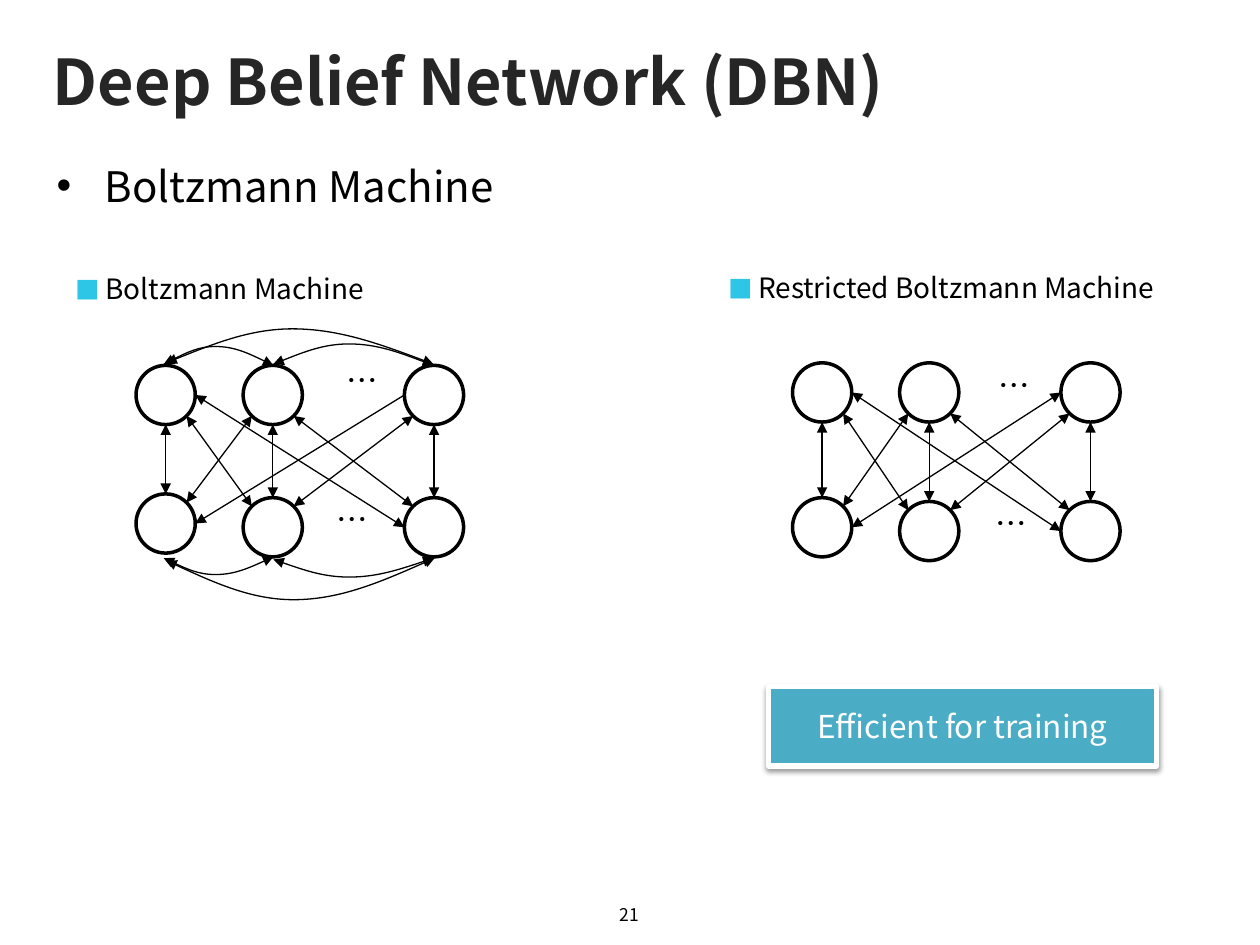
from dataclasses import dataclass
from math import cos, pi, sin

from lxml import etree
from pptx import Presentation
from pptx.dml.color import RGBColor
from pptx.enum.shapes import MSO_CONNECTOR, MSO_SHAPE
from pptx.enum.text import MSO_ANCHOR, PP_ALIGN
from pptx.oxml import parse_xml
from pptx.oxml.ns import nsdecls, qn
from pptx.util import Inches, Pt

LINE = MSO_CONNECTOR.STRAIGHT
OVAL, RECT = MSO_SHAPE.OVAL, MSO_SHAPE.RECTANGLE
LEFT, CENTER = PP_ALIGN.LEFT, PP_ALIGN.CENTER
TOP, MIDDLE = MSO_ANCHOR.TOP, MSO_ANCHOR.MIDDLE
FONT = "Noto Sans CJK KR"
COLORS = {"ink": "000000", "title": "262626", "paper": "FFFFFF",
          "marker": "2DC6E6", "note": "4BACC6"}

COLS, ROWS = 100, 75
CELL = Inches(0.1)
NODE = 4.7
NODE_COLS = (0, 8.5, 21.3)


@dataclass
class Box:
    col: float
    row: float
    cols: float
    rows: float

    def emu(self) -> list[int]:
        return [grid(v) for v in (self.col, self.row, self.cols, self.rows)]


@dataclass
class Arc:
    start: tuple[float, float]
    apex: tuple[float, float]
    end: tuple[float, float]


@dataclass
class Network:
    name: str
    label: Box
    col: float
    upper: float
    lower: tuple[float, float, float]
    dots: tuple[Box, Box]
    one_way: tuple[tuple[int, int], ...] = ()
    arcs: tuple[Arc, ...] = ()


NETWORKS = (
    Network("Boltzmann Machine", Box(5, 21.1, 24.9, 3.7), 10.8, 29,
            (39.2, 39.5, 39.5),
            (Box(26.5, 28.2, 4.8, 4), Box(25.7, 39.2, 4.8, 4)),
            one_way=((2, 0),),
            arcs=(Arc((13, 28.9), (17.1, 27.5), (21.7, 29)),
                  Arc((21.7, 28.9), (27.7, 27.3), (34.4, 29)),
                  Arc((21.7, 44.4), (27.7, 45.8), (34.4, 44.3)),
                  Arc((13, 44.3), (17.1, 45.6), (21.7, 44.2)),
                  Arc((13.2, 28.8), (23.2, 26.1), (34.4, 28.9)),
                  Arc((13.2, 44.5), (23.3, 47.6), (34.5, 44.3)))),
    Network("Restricted Boltzmann Machine", Box(56.8, 21, 36.9, 3.7), 62.9, 28.8,
            (39.5, 39.8, 39.8),
            (Box(78.3, 28.6, 4.8, 4), Box(78, 39.5, 4.8, 4))),
)


def grid(cells: float) -> int:
    return round(cells * CELL)


def rgb(name: str) -> RGBColor:
    return RGBColor.from_string(COLORS[name])


def add_text(p, text: str, size: float, color="ink", bold=False, align=LEFT):
    p.alignment = align
    r = p.add_run()
    r.text = text
    f = r.font
    f.name, f.size, f.bold = FONT, Pt(size), bold
    f.color.rgb = rgb(color)
    etree.SubElement(r.font._element, qn("a:ea"), typeface=FONT)


def add_label(s, box: Box, wrap=False, anchor=TOP):
    tf = s.shapes.add_textbox(*box.emu()).text_frame
    tf.word_wrap, tf.vertical_anchor = wrap, anchor
    return tf.paragraphs[0]


def fill_placeholder(sp, box: Box, anchor):
    sp.left, sp.top, sp.width, sp.height = box.emu()
    sp.text_frame.vertical_anchor = anchor
    return sp.text_frame.paragraphs[0]


def style_shape(sp, fill: str, line: str, width: float) -> None:
    sp.shadow.inherit = False
    sp.fill.solid()
    sp.fill.fore_color.rgb = rgb(fill)
    sp.line.color.rgb = rgb(line)
    sp.line.width = Pt(width)


def style_arrow(sp, ends=("headEnd", "tailEnd")) -> None:
    sp.line.color.rgb = rgb("ink")
    sp.line.width = Pt(0.75)
    ln = sp._element.spPr.find(qn("a:ln"))
    for end in ends:
        etree.SubElement(ln, qn(f"a:{end}"), type="triangle")


def add_link(s, start: tuple, end: tuple, one_way: bool) -> None:
    c = s.shapes.add_connector(LINE, *map(grid, start + end))
    style_arrow(c, ("tailEnd",) if one_way else ("headEnd", "tailEnd"))
    etree.SubElement(c._element.spPr, qn("a:effectLst"))


def add_arc(s, arc: Arc) -> None:
    (x0, y0), (xm, ym), (x1, y1) = arc.start, arc.apex, arc.end
    pts = [(x0 + (xm - x0) / 3, (y0 + ym) / 2), (x0 + (xm - x0) * 2 / 3, ym),
           (xm, ym), (xm + (x1 - xm) / 3, ym),
           (xm + (x1 - xm) * 2 / 3, (ym + y1) / 2), (x1, y1)]
    fb = s.shapes.build_freeform(grid(x0), grid(y0))
    fb.add_line_segments([(grid(x), grid(y)) for x, y in pts], close=False)
    sp = fb.convert_to_shape()
    sp.shadow.inherit = False
    sp.fill.background()
    style_arrow(sp)
    lines = list(sp._element.iter(qn("a:lnTo")))
    for i in range(0, len(lines), 3):
        curve = etree.SubElement(lines[i].getparent(), qn("a:cubicBezTo"))
        for line in lines[i:i + 3]:
            curve.append(line[0])
            line.getparent().remove(line)


def add_network(s, net: Network) -> None:
    p = add_label(s, net.label)
    add_text(p, "■ ", 14, "marker")
    add_text(p, net.name, 16)
    for tops in ((net.upper,) * 3, net.lower):
        for col, row in zip(NODE_COLS, tops):
            sp = s.shapes.add_shape(OVAL, *Box(net.col + col, row, NODE, NODE).emu())
            style_shape(sp, "paper", "ink", 2)
    radius = NODE / 2
    for i, a in enumerate(NODE_COLS):
        for j, b in enumerate(NODE_COLS):
            angle = (j - i) * pi / 4
            dx, dy = radius * sin(angle), radius * cos(angle)
            start = (net.col + a + radius + dx, net.upper + radius + dy)
            end = (net.col + b + radius - dx, net.lower[j] + radius - dy)
            add_link(s, start, end, (i, j) in net.one_way)
    for box in net.dots:
        add_text(add_label(s, box), "…", 18)
    for arc in net.arcs:
        add_arc(s, arc)


def add_note(s, box: Box, text: str) -> None:
    sp = s.shapes.add_shape(RECT, *box.emu())
    style_shape(sp, "note", "paper", 3)
    sp._element.spPr.find(qn("a:effectLst")).append(parse_xml(
        f'<a:outerShdw {nsdecls("a")} blurRad="{Pt(3.1)}" dist="{Pt(1.6)}" '
        f'dir="5400000" rotWithShape="0"><a:srgbClr val="{COLORS["ink"]}">'
        '<a:alpha val="38000"/></a:srgbClr></a:outerShdw>'))
    sp.text_frame.vertical_anchor = MIDDLE
    add_text(sp.text_frame.paragraphs[0], text, 18, "paper", align=CENTER)


def main() -> None:
    prs = Presentation()
    prs.slide_width, prs.slide_height = grid(COLS), grid(ROWS)
    s = prs.slides.add_slide(prs.slide_layouts[1])
    title, body = s.placeholders
    p = fill_placeholder(title, Box(3.2, 2.8, 93.8, 7.2), MIDDLE)
    add_text(p, "Deep Belief Network (DBN)", 36, "title", bold=True)
    p = fill_placeholder(body, Box(3.5, 12.2, 92.9, 57.6), TOP)
    pPr = p._p.get_or_add_pPr()
    pPr.set("marL", str(grid(3.8)))
    pPr.set("indent", str(-grid(3.8)))
    etree.SubElement(pPr, qn("a:buChar"), char="•")
    p.space_before = Pt(0)
    add_text(p, "Boltzmann Machine", 24)
    for net in NETWORKS:
        add_network(s, net)
    add_note(s, Box(61, 54.5, 30.8, 6.3), "Efficient for training")
    p = add_label(s, Box(38.3, 70.6, 23.3, 4), wrap=True, anchor=MIDDLE)
    add_text(p, "21", 10, align=CENTER)
    prs.save("out.pptx")


if __name__ == "__main__":
    main()
